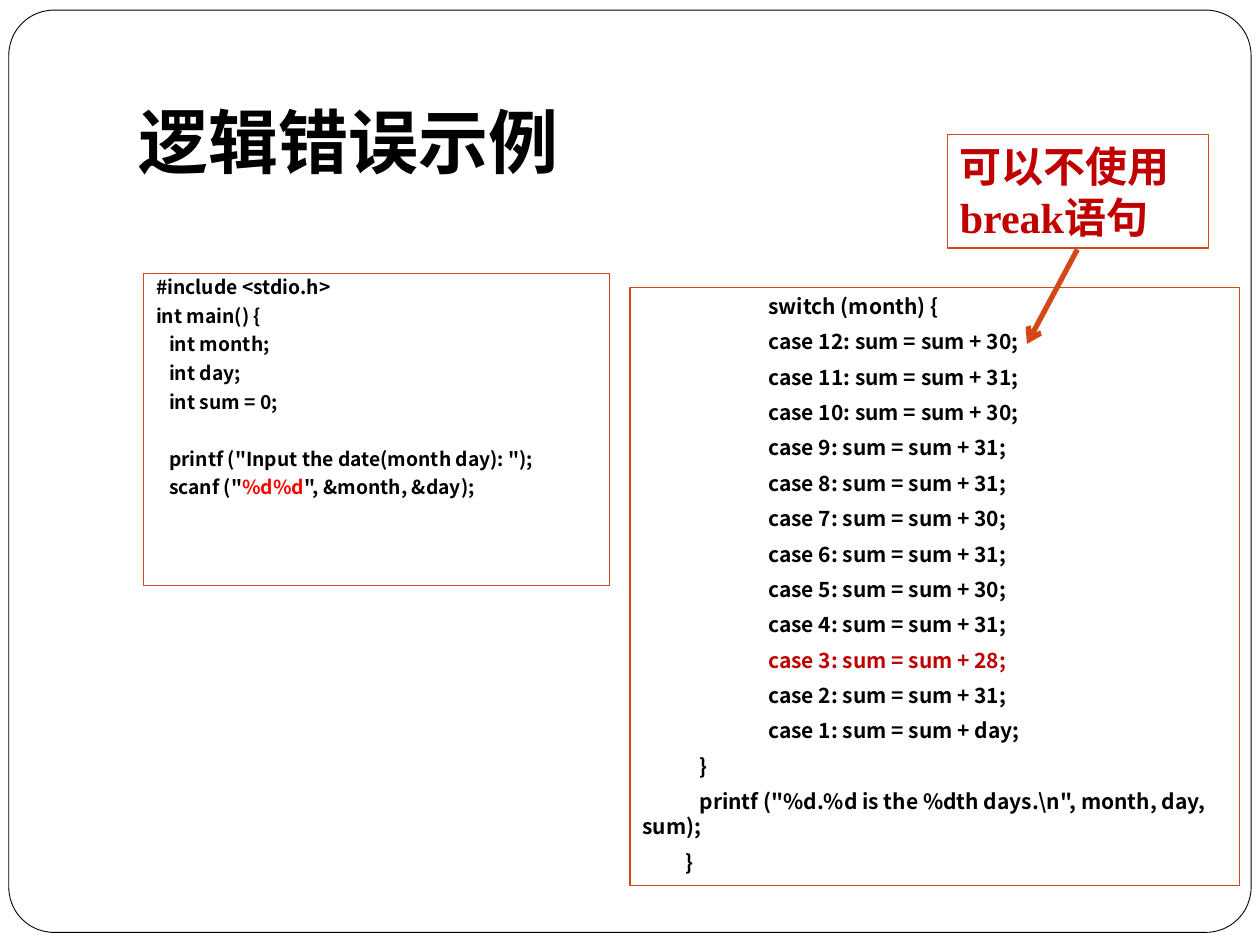
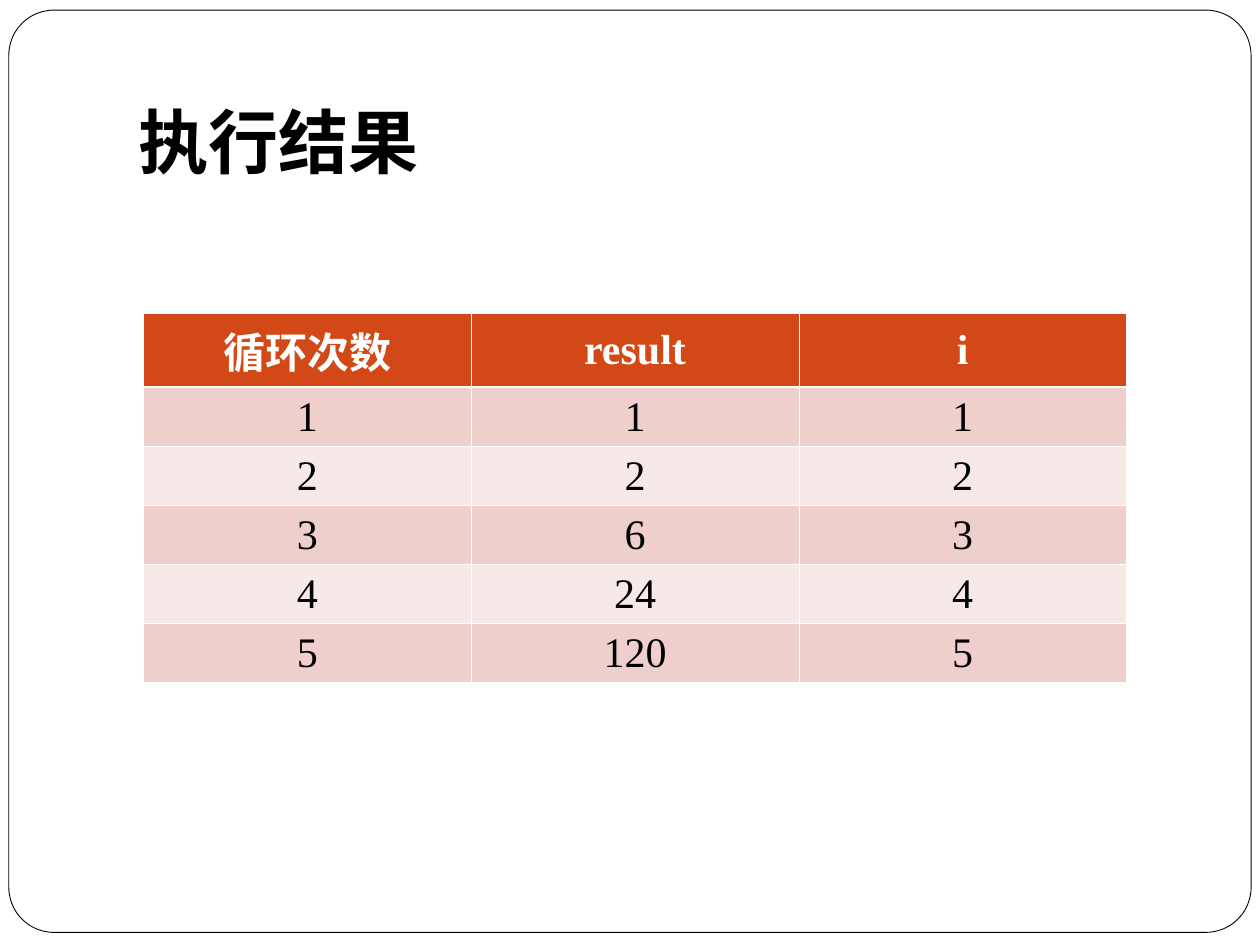
"""Build two slides on a switch statement logic error and a loop's results."""
from dataclasses import dataclass

import lxml.etree
import pptx
import pptx.dml.color
import pptx.enum.shapes
import pptx.enum.text
import pptx.oxml
import pptx.oxml.ns
import pptx.util

Inches = pptx.util.Inches
Pt = pptx.util.Pt
qn = pptx.oxml.ns.qn

COLOURS = {
    "ink": "000000",
    "paper": "FFFFFF",
    "accent": "D34817",
    "warning": "C00000",
    "format": "FF0000",
    "band": "EFCFCC",
    "pale": "F7E9E7",
}
SANS = "Noto Sans CJK SC"
SERIF = "Times New Roman"
CODE_GAP = 5.8
LINE_HEIGHT = 1.19
SHAPES = pptx.enum.shapes.MSO_SHAPE
ANCHOR = pptx.enum.text.MSO_ANCHOR
ALIGN = pptx.enum.text.PP_ALIGN


@dataclass(frozen=True)
class Area:
    left: float
    top: float
    width: float
    height: float

    def lengths(self) -> tuple:
        return tuple(Inches(n) for n in (self.left, self.top, self.width, self.height))


@dataclass(frozen=True)
class CodePanel:
    area: Area
    lines: tuple
    size: float
    spacing: float
    marked: str
    mark_colour: str


FRAME = Area(0.07, 0.08, 9.86, 7.32)
TITLE = Area(1, 0.3, 8.5, 1.25)
CALLOUT = Area(7.52, 1.07, 2.07, 0.9)
TABLE = Area(1.14, 2.49, 7.8, 2.46)

INPUT_PANEL = CodePanel(
    Area(1.14, 2.17, 3.7, 2.48),
    (
        "#include <stdio.h>",
        "int main() {",
        "   int month;",
        "   int day;",
        "   int sum = 0;",
        "",
        '   printf ("Input the date(month day): ");',
        '   scanf ("%d%d", &month, &day);',
    ),
    size=11, spacing=0.8, marked="%d%d", mark_colour="format",
)

DAYS_ADDED = (30, 31, 30, 31, 31, 30, 31, 30, 31, 28, 31, "day")
SWITCH_PANEL = CodePanel(
    Area(5, 2.28, 4.84, 4.75),
    (
        "\tswitch (month) {",
        *(f"\tcase {12 - i}: sum = sum + {days};" for i, days in enumerate(DAYS_ADDED)),
        "            }",
        '            printf ("%d.%d is the %dth days.\\n", month, day, sum);',
        "         }",
    ),
    size=12, spacing=1.0, marked="case 3: sum = sum + 28;", mark_colour="warning",
)

RESULTS = (
    ("循环次数", "result", "i"),
    ("1", "1", "1"),
    ("2", "2", "2"),
    ("3", "6", "3"),
    ("4", "24", "4"),
    ("5", "120", "5"),
)


def colour(name: str) -> pptx.dml.color.RGBColor:
    return pptx.dml.color.RGBColor.from_string(COLOURS[name])


def style_span(span, size: float, face: str, ink: str, bold: bool = True) -> None:
    span.font.size = Pt(size)
    span.font.name = face
    span.font.bold = bold
    span.font.color.rgb = colour(ink)
    east_asian = lxml.etree.Element(qn("a:ea"), typeface=SANS)
    span.font._element.find(qn("a:latin")).addnext(east_asian)


def set_insets(frame, left: float, top: float, right: float, bottom: float) -> None:
    frame.margin_left, frame.margin_top = Inches(left), Inches(top)
    frame.margin_right, frame.margin_bottom = Inches(right), Inches(bottom)


def add_box(page, area: Area, line: str, weight: float, fill: str = "", kind=SHAPES.RECTANGLE):
    box = page.shapes.add_shape(kind, *area.lengths())
    box.shadow.inherit = False
    if fill:
        box.fill.solid()
        box.fill.fore_color.rgb = colour(fill)
    else:
        box.fill.background()
    box.line.color.rgb = colour(line)
    box.line.width = Pt(weight)
    frame = box.text_frame
    frame.word_wrap = True
    frame.vertical_anchor = ANCHOR.TOP
    frame.paragraphs[0].alignment = ALIGN.LEFT
    set_insets(frame, 0.1, 0.05, 0.1, 0.05)
    return box


def add_page(deck, heading: str):
    page = deck.slides.add_slide(deck.slide_layouts[5])
    border = add_box(page, FRAME, "ink", 0.5, "paper", SHAPES.ROUNDED_RECTANGLE)
    border.adjustments[0] = 0.049
    title = page.shapes.title
    title._element.addprevious(border._element)
    title.left, title.top, title.width, title.height = TITLE.lengths()
    frame = title.text_frame
    frame.text = heading
    frame.word_wrap = True
    frame.auto_size = pptx.enum.text.MSO_AUTO_SIZE.NONE
    frame.vertical_anchor = ANCHOR.BOTTOM
    set_insets(frame, 0.1, 0.05, 0.1, 0.1)
    para = frame.paragraphs[0]
    para.alignment = ALIGN.LEFT
    style_span(para.runs[0], 40, SANS, "ink")
    return page


def add_tab_stop(para, position: float) -> None:
    stops = lxml.etree.SubElement(para._p.get_or_add_pPr(), qn("a:tabLst"))
    lxml.etree.SubElement(stops, qn("a:tab"), pos=str(Inches(position)), algn="l")


def add_code(page, panel: CodePanel) -> None:
    frame = add_box(page, panel.area, "accent", 0.75).text_frame
    para, gap = frame.paragraphs[0], 0
    for line in panel.lines:
        if not line:
            gap += CODE_GAP + panel.size * LINE_HEIGHT * panel.spacing
            continue
        if para.runs:
            para = frame.add_paragraph()
        add_tab_stop(para, 1)
        para.alignment = ALIGN.LEFT
        para.line_spacing = panel.spacing
        para.space_before = Pt(round(gap, 1))
        gap = CODE_GAP
        before, marked, after = line.partition(panel.marked)
        for text, ink in ((before, "ink"), (marked, panel.mark_colour), (after, "ink")):
            if text:
                span = para.add_run()
                span.text = text
                style_span(span, panel.size, SANS, ink)


def add_arrow(page, start: tuple, end: tuple) -> None:
    arrow = page.shapes.add_connector(
        pptx.enum.shapes.MSO_CONNECTOR.STRAIGHT, *map(Inches, start + end))
    arrow.line.color.rgb = colour("accent")
    arrow.line.width = Pt(3)
    lxml.etree.SubElement(arrow.line._get_or_add_ln(), qn("a:tailEnd"), type="arrow")
    lxml.etree.SubElement(arrow._element.spPr, qn("a:effectLst"))


def add_callout(page, text: str) -> None:
    frame = add_box(page, CALLOUT, "accent", 0.75, "paper").text_frame
    frame.text = text
    para = frame.paragraphs[0]
    para.alignment = ALIGN.LEFT
    style_span(para.runs[0], 24, SERIF, "warning")


def set_borders(cell, widths: dict) -> None:
    properties = cell._tc.get_or_add_tcPr()
    for place, (side, width) in enumerate(widths.items()):
        edge = lxml.etree.Element(qn(f"a:ln{side}"), w=str(Pt(width)))
        fill = lxml.etree.SubElement(edge, qn("a:solidFill"))
        lxml.etree.SubElement(fill, qn("a:srgbClr"), val=COLOURS["paper"])
        properties.insert(place, edge)


def add_results(page, rows: tuple) -> None:
    table = page.shapes.add_table(len(rows), len(rows[0]), *TABLE.lengths()).table
    for r, values in enumerate(rows):
        header = r == 0
        fill = "accent" if header else ("pale", "band")[r % 2]
        widths = {"L": 0.45, "R": 0.45, "T": 1.47 if r == 1 else 0.45,
                  "B": 1.47 if header else 0.45}
        for c, value in enumerate(values):
            cell = table.cell(r, c)
            cell.text_frame.text = value
            cell.vertical_anchor = ANCHOR.MIDDLE
            set_insets(cell, 0.08, 0.05, 0.08, 0.05)
            cell.fill.solid()
            cell.fill.fore_color.rgb = colour(fill)
            set_borders(cell, widths)
            para = cell.text_frame.paragraphs[0]
            para.alignment = ALIGN.CENTER
            style_span(para.runs[0], 24, SERIF, "paper" if header else "ink", header)


def main() -> None:
    deck = pptx.Presentation()
    deck.slide_width, deck.slide_height = Inches(10), Inches(7.5)

    page = add_page(deck, "逻辑错误示例")
    add_code(page, INPUT_PANEL)
    add_arrow(page, (8.55, 1.98), (8.15, 2.73))
    add_callout(page, "可以不使用break语句")
    add_code(page, SWITCH_PANEL)

    page = add_page(deck, "执行结果")
    add_results(page, RESULTS)

    deck.save("out.pptx")


if __name__ == "__main__":
    main()
